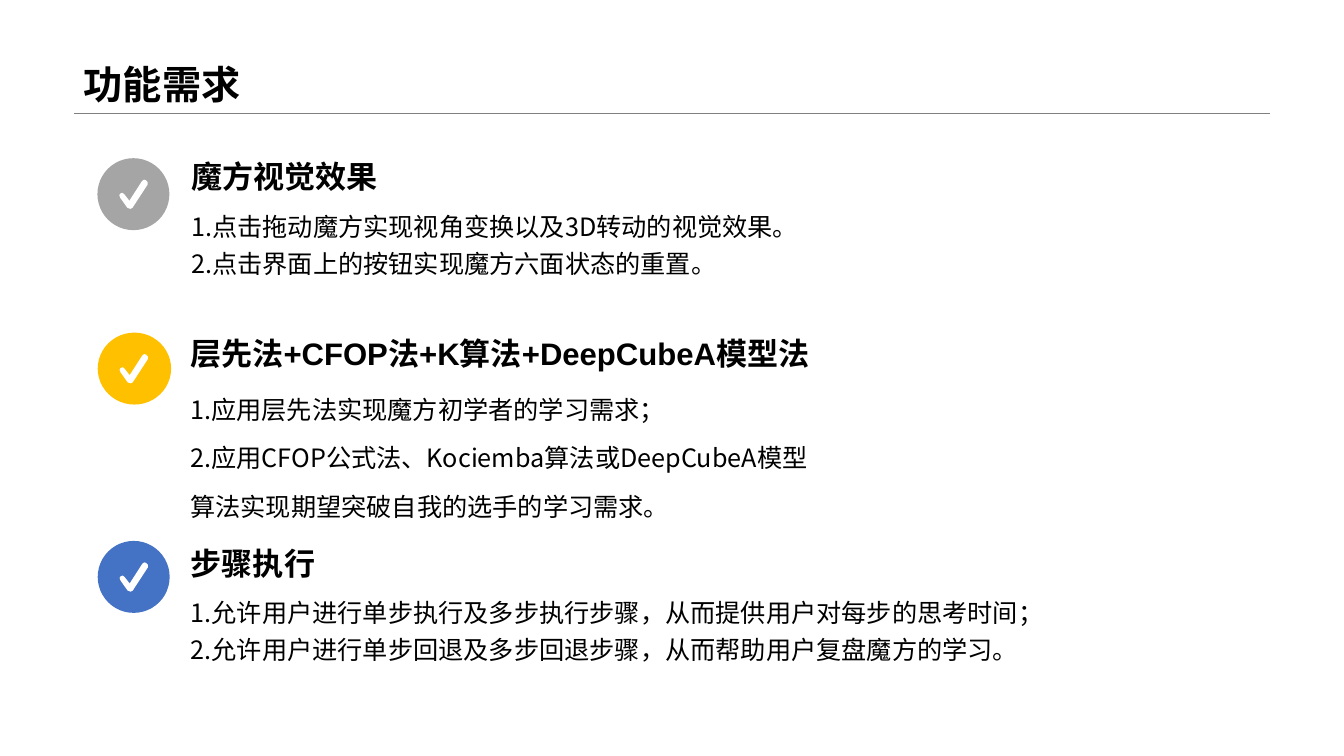
"""Build the functional requirements slide with three checked items."""
import pptx
import pptx.util
import pptx.dml.color
import pptx.enum.shapes
import pptx.enum.text
import pptx.oxml
import pptx.oxml.ns

Pt = pptx.util.Pt
RGBColor = pptx.dml.color.RGBColor
ANCHOR = pptx.enum.text.MSO_ANCHOR

BLACK = RGBColor(0x00, 0x00, 0x00)
WHITE = RGBColor(0xFF, 0xFF, 0xFF)
RULE_GRAY = RGBColor(0x80, 0x80, 0x80)
GRAY = RGBColor(0xA5, 0xA5, 0xA5)
AMBER = RGBColor(0xFF, 0xC0, 0x00)
BLUE = RGBColor(0x44, 0x72, 0xC4)

HEADING_FONT = "Arial"
BODY_FONT = "Noto Sans CJK SC"

CHECK_OUTLINE = [
    (7.9, 20.9), (5.8, 20.2), (0.7, 13), (0, 11.2), (0.7, 10), (2.2, 9.4), (3.6, 10.5),
    (7.2, 15.1), (16.2, 1.1), (17.6, 0), (19, 0.4), (20.2, 1.8), (20.2, 3.6), (9.4, 20.2),
]

ITEMS = [
    {"color": GRAY, "circle": (69.6, 113, 51.4), "heading": (129.6, 110.2, 286),
     "title": "魔方视觉效果", "body": (143.3, 511, 76.3), "spacing": 1.2,
     "lines": ["1.点击拖动魔方实现视角变换以及3D转动的视觉效果。",
               "2.点击界面上的按钮实现魔方六面状态的重置。"]},
    {"color": AMBER, "circle": (69.8, 237.6, 52.4), "heading": (128.9, 236.9, 463.7),
     "title": "层先法+CFOP法+K算法+DeepCubeA模型法", "body": (265, 463.7, 108.7), "spacing": 1.6,
     "lines": ["1.应用层先法实现魔方初学者的学习需求；",
               "2.应用CFOP公式法、Kociemba算法或DeepCubeA模型算法实现期望突破自我的选手的学习需求。"]},
    {"color": BLUE, "circle": (69.8, 386.4, 51.4), "heading": (129.2, 386.6, 286),
     "title": "步骤执行", "body": (419, 639.4, 101.5), "spacing": 1.2,
     "lines": ["1.允许用户进行单步执行及多步执行步骤，从而提供用户对每步的思考时间；",
               "2.允许用户进行单步回退及多步回退步骤，从而帮助用户复盘魔方的学习。"]},
]


def add_text(area, lines, font_name, size, bold, anchor, wrap, spacing):
    box = slide.shapes.add_textbox(*[Pt(value) for value in area])
    frame = box.text_frame
    frame.text = "\n".join(lines)
    frame.word_wrap = wrap
    frame.vertical_anchor = anchor
    for para in frame.paragraphs:
        para.line_spacing = spacing
        for span in para.runs:
            span.font.name = font_name
            span.font.size = Pt(size)
            span.font.bold = bold
            span.font.color.rgb = BLACK
            east_asian = pptx.oxml.parse_xml(
                f'<a:ea {pptx.oxml.ns.nsdecls("a")} typeface="{BODY_FONT}"/>')
            span.font._element.append(east_asian)


def paint(shape, color):
    shape.shadow.inherit = False
    shape.fill.solid()
    shape.fill.fore_color.rgb = color
    shape.line.fill.background()


deck = pptx.Presentation()
deck.slide_width = Pt(960)
deck.slide_height = Pt(540)
slide = deck.slides.add_slide(deck.slide_layouts[6])

rule = slide.shapes.add_connector(
    pptx.enum.shapes.MSO_CONNECTOR.STRAIGHT, Pt(52.8), Pt(80.9), Pt(907.2), Pt(80.9))
rule.line.color.rgb = RULE_GRAY
rule.line.width = Pt(0.25)
rule._element.spPr.append(
    pptx.oxml.parse_xml(f'<a:effectLst {pptx.oxml.ns.nsdecls("a")}/>'))

add_text((52.8, 0, 854.4, 80.9), ["功能需求"], HEADING_FONT, 28, True, ANCHOR.BOTTOM, True, 0.9)

for item in ITEMS:
    left, top, width = item["circle"]
    circle = slide.shapes.add_shape(
        pptx.enum.shapes.MSO_SHAPE.OVAL, Pt(left), Pt(top), Pt(width), Pt(51.4))
    paint(circle, item["color"])

    points = [(Pt(left + 15.6 + x), Pt(top + 15.3 + y)) for x, y in CHECK_OUTLINE]
    builder = slide.shapes.build_freeform(*points[0])
    builder.add_line_segments(points[1:], close=True)
    paint(builder.convert_to_shape(), WHITE)

    text_left, heading_top, heading_width = item["heading"]
    add_text((text_left, heading_top, heading_width, 32.4), [item["title"]],
             HEADING_FONT, 22.2, True, ANCHOR.BOTTOM, False, 1.0)
    body_top, body_width, body_height = item["body"]
    add_text((text_left, body_top, body_width, body_height), item["lines"],
             BODY_FONT, 18, False, ANCHOR.TOP, True, item["spacing"])

deck.save("out.pptx")
